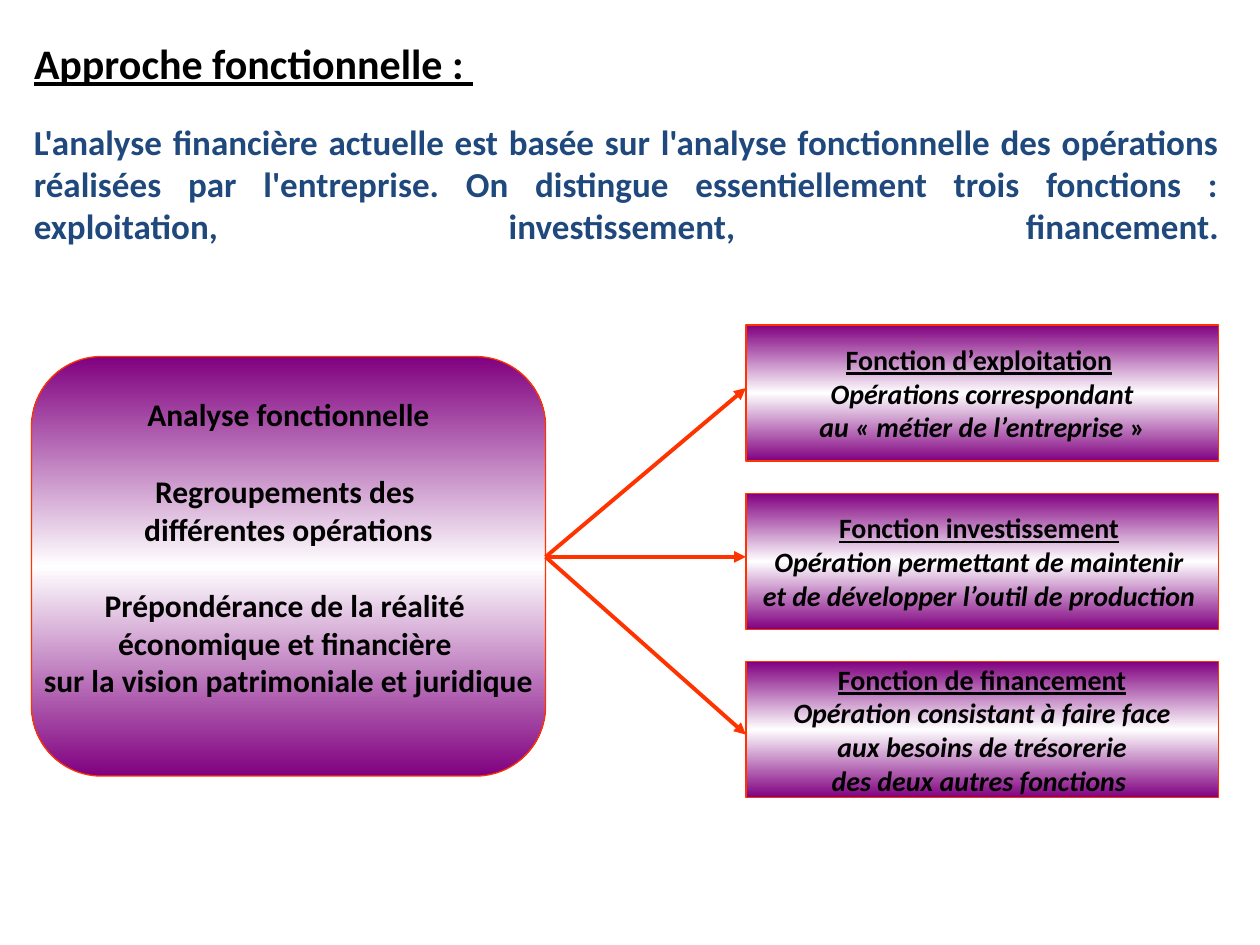
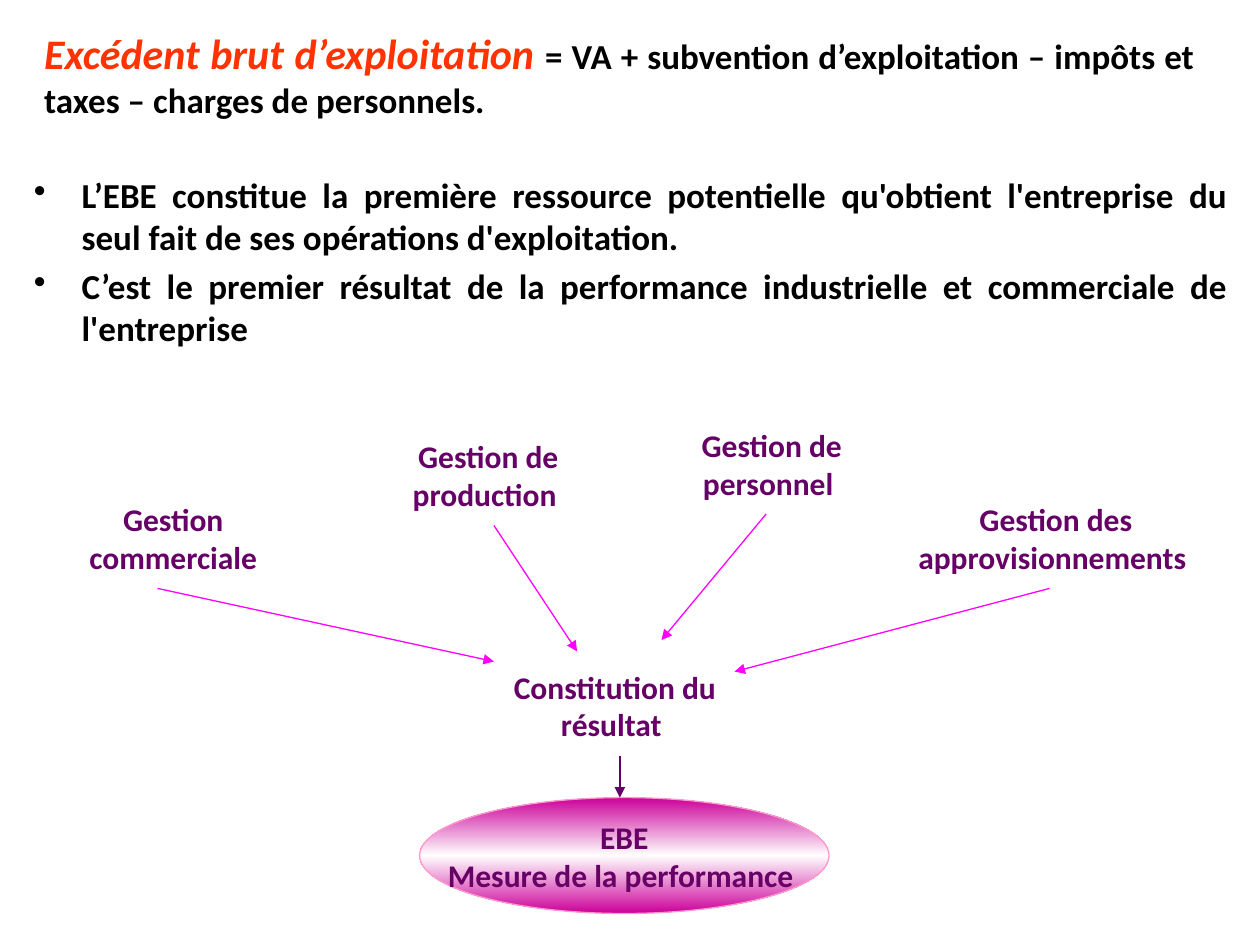
from dataclasses import dataclass
from copy import deepcopy

from lxml.etree import SubElement
from pptx import Presentation
from pptx.dml.color import RGBColor
from pptx.enum.shapes import MSO_CONNECTOR, MSO_SHAPE
from pptx.enum.text import MSO_ANCHOR, MSO_AUTO_SIZE, PP_ALIGN
from pptx.oxml.ns import qn
from pptx.util import Inches, Pt


@dataclass(frozen=True)
class Theme:
    font: str = "Calibri"
    black: str = "000000"
    white: str = "FFFFFF"
    navy: str = "1F497D"
    red: str = "FF3300"
    purple: str = "800080"
    plum: str = "660066"
    magenta: str = "FF00FF"
    fuchsia: str = "CC0099"
    pink: str = "FF99CC"
    title: int = 24
    body: int = 20
    label: int = 18
    detail: int = 16
    thin: float = 0.75
    thick: float = 2.25


THEME = Theme()

# Content: a paragraph is a string or a list of (text, marks); u underlined, i italic
APPROACH_TITLE = [[("Approche fonctionnelle : ", "u")]]
APPROACH_INTRO = [
    "L'analyse financière actuelle est basée sur l'analyse fonctionnelle des "
    "opérations réalisées par l'entreprise. On distingue essentiellement trois "
    "fonctions : exploitation, investissement, financement.\v"
]
ANALYSIS_GROUPS = [
    ["Analyse fonctionnelle"],
    ["Regroupements des ", "différentes opérations"],
    ["Prépondérance de la réalité ", "économique et financière ",
     "sur la vision patrimoniale et juridique"],
]
# (paragraphs, height at which the arrow arrives)
FUNCTIONS = [
    ([[("Fonction d’exploitation", "u"), (" ", "")],
      [("Opérations correspondant", "i")],
      [("au « métier de l’entreprise", "i"), (" »", "")]], 3.08),
    ([[("Fonction investissement", "u"), (" ", "")],
      [("Opération permettant de maintenir ", "i")],
      [("et de développer l’outil de production ", "i")]], 4.42),
    ([[("Fonction de financement", "u")],
      [("Opération consistant à faire face", "i")],
      [(" aux besoins de trésorerie ", "i")],
      [("des deux autres fonctions ", "i")]], 5.83),
]

SURPLUS_TERM = "Excédent brut d’exploitation "
SURPLUS_FORMULA = ("= VA + subvention d’exploitation – impôts et taxes "
                   "– charges de personnels.")
SURPLUS_POINTS = [
    "L’EBE constitue la première ressource potentielle qu'obtient l'entreprise "
    "du seul fait de ses opérations d'exploitation.",
    "C’est le premier résultat de la performance industrielle et commerciale "
    "de l'entreprise",
]
# (label, left, top, width, arrow start, arrow end)
SOURCES = [
    ("Gestion commerciale", 0.25, 3.92, 2.25, (1.25, 4.67), (3.92, 5.25)),
    ("Gestion de production ", 2.75, 3.42, 2.25, (3.92, 4.17), (4.58, 5.17)),
    ("Gestion de personnel ", 5, 3.33, 2.25, (6.08, 4.08), (5.25, 5.08)),
    ("Gestion des approvisionnements ", 7.17, 3.92, 2.42, (8.33, 4.67), (5.83, 5.33)),
]
RESULT = "Constitution du résultat "
MEASURE = ["EBE", "Mesure de la performance "]


# Shared building blocks
def rgb(code):
    return RGBColor.from_string(code)


def write(frame, paragraphs, size, color=THEME.black, align=PP_ALIGN.CENTER):
    for index, content in enumerate(paragraphs):
        paragraph = frame.paragraphs[0] if index == 0 else frame.add_paragraph()
        paragraph.alignment = align
        font = paragraph.font
        font.name, font.size, font.bold = THEME.font, Pt(size), True
        font.color.rgb = rgb(color)
        if isinstance(content, str):
            paragraph.text = content
            continue
        for text, marks in content:
            run = paragraph.add_run()
            run.text = text
            if "u" in marks:
                run.font.underline = True
            if "i" in marks:
                run.font.italic = True


def place_title(slide, left, top, width, height):
    title = slide.shapes.title
    title.left, title.top = Inches(left), Inches(top)
    title.width, title.height = Inches(width), Inches(height)
    frame = title.text_frame
    frame.vertical_anchor = MSO_ANCHOR.TOP
    frame.auto_size = MSO_AUTO_SIZE.NONE
    return frame


def add_text(slide, box, paragraphs, size, **style):
    frame = slide.shapes.add_textbox(*map(Inches, box)).text_frame
    frame.word_wrap = True
    write(frame, paragraphs, size, **style)
    return frame


def add_panel(slide, preset, box, edge, outline, paragraphs, size, color=THEME.black):
    panel = slide.shapes.add_shape(preset, *map(Inches, box))
    panel.shadow.inherit = False
    panel.line.color.rgb = rgb(outline)
    panel.line.width = Pt(THEME.thin)
    # Vertical gradient: edge colour, white, edge colour
    panel.fill.gradient()
    panel.fill.gradient_angle = 90
    stop_list = panel._element.spPr.find(".//" + qn("a:gsLst"))
    stop_list.append(deepcopy(stop_list[0]))
    for stop, position, shade in zip(panel.fill.gradient_stops, (0, 0.5, 1),
                                     (edge, THEME.white, edge)):
        stop.position = position
        stop.color.rgb = rgb(shade)
    frame = panel.text_frame
    frame.word_wrap = False
    frame.vertical_anchor = MSO_ANCHOR.MIDDLE
    write(frame, paragraphs, size, color)
    return frame


def add_arrow(slide, start, end, color, width=THEME.thin):
    arrow = slide.shapes.add_connector(MSO_CONNECTOR.STRAIGHT,
                                       *map(Inches, (*start, *end)))
    arrow.line.color.rgb = rgb(color)
    arrow.line.width = Pt(width)
    properties = arrow._element.spPr
    SubElement(properties.find(qn("a:ln")), qn("a:tailEnd"), type="triangle")
    SubElement(properties, qn("a:effectLst"))


def add_bullets(frame, indent):
    for paragraph in frame.paragraphs:
        paragraph.space_before = Pt(4)
        properties = paragraph._p.get_or_add_pPr()
        properties.set("marL", str(Inches(indent)))
        properties.set("indent", str(-Inches(indent)))
        bullet = SubElement(properties, qn("a:buChar"), char="•")
        properties.find(qn("a:defRPr")).addprevious(bullet)


# Slide 1: functional approach
def build_approach(slide):
    write(place_title(slide, 0.17, 0.25, 8.92, 0.5), APPROACH_TITLE,
          THEME.title, align=PP_ALIGN.LEFT)
    intro = add_text(slide, (0.17, 1, 9.6, 1.25), APPROACH_INTRO, THEME.body,
                     color=THEME.navy, align=PP_ALIGN.JUSTIFY)
    intro.vertical_anchor = MSO_ANCHOR.MIDDLE

    lines = [line for group in ANALYSIS_GROUPS for line in group]
    analysis = add_panel(slide, MSO_SHAPE.ROUNDED_RECTANGLE, (0.25, 2.83, 4.08, 3.33),
                         THEME.purple, THEME.red, lines, THEME.label)
    analysis.margin_bottom = Inches(0.35)
    group_starts = [group[0] for group in ANALYSIS_GROUPS[1:]]
    for paragraph in analysis.paragraphs:
        if paragraph.text in group_starts:
            paragraph.space_before = Pt(22)

    for row, (paragraphs, arrival) in enumerate(FUNCTIONS):
        add_panel(slide, MSO_SHAPE.RECTANGLE, (5.92, 2.58 + row * 1.335, 3.75, 1.08),
                  THEME.purple, THEME.red, paragraphs, THEME.detail)
        add_arrow(slide, (4.33, 4.42), (5.92, arrival), THEME.red, THEME.thick)


# Slide 2: gross operating surplus
def build_surplus(slide):
    heading = place_title(slide, 0.25, 0.17, 9.33, 0.83)
    write(heading, [[(SURPLUS_TERM, "i"), (SURPLUS_FORMULA, "")]],
          THEME.body, align=PP_ALIGN.JUSTIFY)
    term = heading.paragraphs[0].runs[0].font
    term.size, term.color.rgb = Pt(THEME.title), rgb(THEME.red)

    points = add_text(slide, (0.17, 1.33, 9.67, 1.67), SURPLUS_POINTS, THEME.body,
                      align=PP_ALIGN.JUSTIFY)
    add_bullets(points, 0.38)

    for label, left, top, width, start, end in SOURCES:
        add_text(slide, (left, top, width, 0.7), [label], THEME.label, color=THEME.plum)
        add_arrow(slide, start, end, THEME.magenta)

    add_text(slide, (3.67, 5.25, 2.42, 0.7), [RESULT], THEME.label, color=THEME.plum)
    add_panel(slide, MSO_SHAPE.OVAL, (3.33, 6.33, 3.25, 0.92), THEME.fuchsia,
              THEME.pink, MEASURE, THEME.label, THEME.plum)
    add_arrow(slide, (4.92, 6), (4.92, 6.33), THEME.plum)


def main():
    deck = Presentation()
    deck.slide_width, deck.slide_height = Inches(10), Inches(7.5)
    title_only = deck.slide_layouts[5]
    for build in (build_approach, build_surplus):
        build(deck.slides.add_slide(title_only))
    deck.save("out.pptx")


if __name__ == "__main__":
    main()
